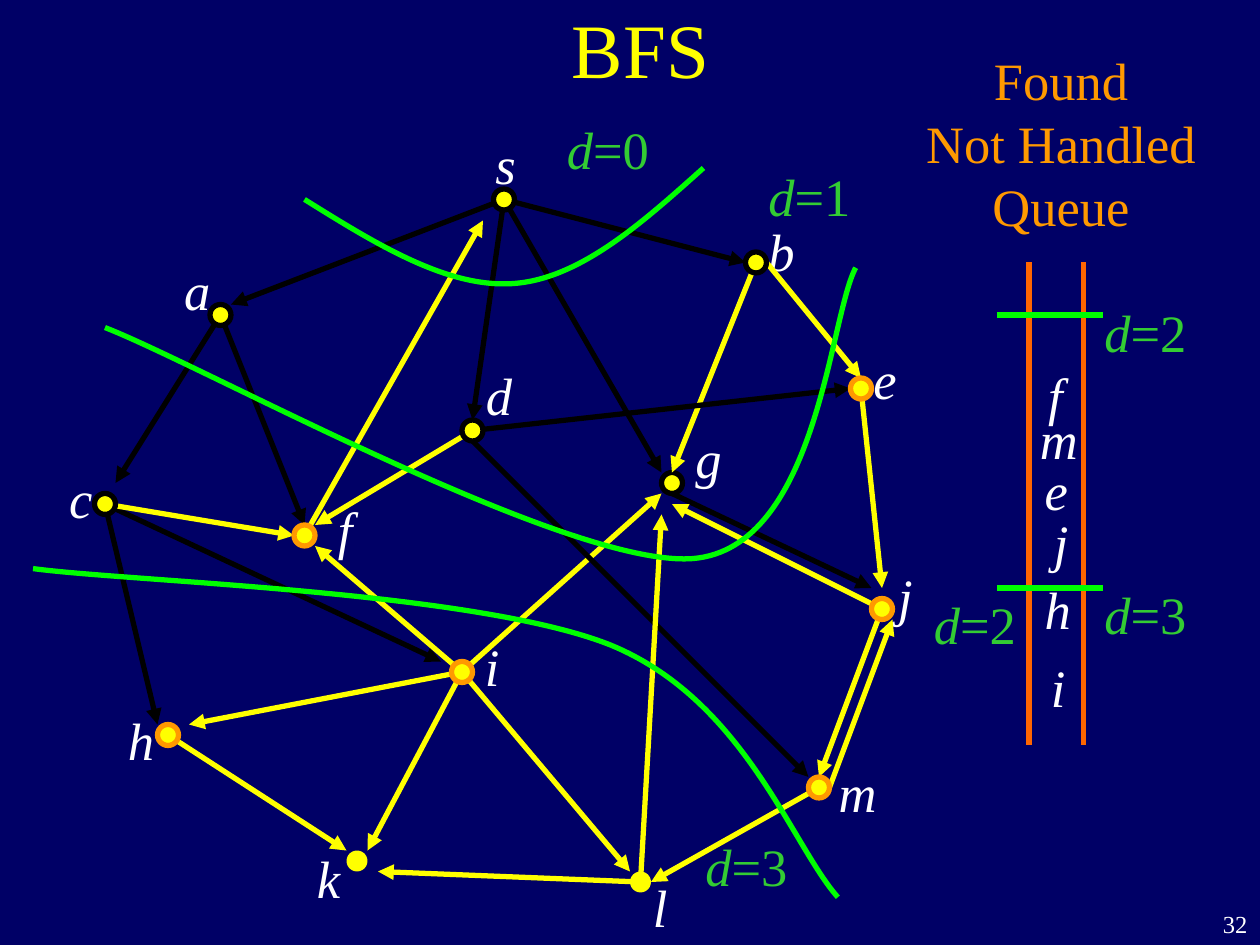
from dataclasses import dataclass

from lxml.etree import SubElement
from pptx import Presentation
from pptx.dml.color import RGBColor
from pptx.enum.shapes import MSO_CONNECTOR, MSO_SHAPE
from pptx.enum.text import MSO_ANCHOR, MSO_AUTO_SIZE, PP_ALIGN
from pptx.oxml.ns import qn
from pptx.util import Inches, Pt


@dataclass(frozen=True)
class Theme:
    background: str = "000066"
    accent: str = "FFFF00"
    text: str = "FFFFFF"
    tree: str = "000000"
    waiting: str = "FF9900"
    rail: str = "FF6600"
    frontier: str = "00FF00"
    distance: str = "33CC33"
    font: str = "Times New Roman"
    title_size: int = 44
    label_size: int = 30
    label_leading: int = 36
    number_size: int = 14
    stroke: int = 3


THEME = Theme()
COLUMNS, ROWS = 120, 90
LABEL_HEIGHT = 7.2
LETTER_WIDTHS = {letter: width for letters, width in
                 (("filj", 3.8), ("s", 4.3), ("cek", 4.7), ("abdgh", 4.9), ("m", 6))
                 for letter in letters}

NODES = {
    "s": (48, 19), "a": (21, 30), "b": (72, 25), "c": (10, 48), "d": (45, 41),
    "e": (82, 37), "f": (29, 51), "g": (64, 46), "h": (16, 70), "i": (44, 64),
    "j": (84, 58), "k": (34, 82), "l": (61, 84), "m": (78, 75),
}
BACK_NODES, HANDLED_NODES, WAITING_NODES = "klg", "sadbcg", "femjhi"

NODE_LABELS = [
    ("s", 46, 12), ("a", 16.35, 24), ("c", 5.4, 43.8), ("h", 11, 66.8),
    ("k", 29, 80), ("f", 31, 46.75), ("i", 45, 59.75), ("l", 61, 82.75),
    ("m", 78.7, 71.75), ("j", 84.35, 53.15), ("e", 82, 32.5),
    ("b", 72, 20.3), ("g", 65.05, 40), ("d", 45.1, 34),
]
QUEUE_LABELS = [("f", 98.65, 34), ("m", 97.85, 38.2), ("e", 98.3, 43),
                ("j", 99.2, 48), ("h", 98.3, 54.4), ("i", 98.9, 61.8)]
DISTANCE_LABELS = [(0, 52.8, 10.6), (1, 72, 15), (2, 87.75, 55.8),
                   (3, 66, 78.8), (2, 104, 28), (3, 104, 54.8)]

TREE_EDGES = {"sa", "sd", "sg", "sb", "de", "gj", "dm", "af", "ac", "ci", "ch"}
EDGE_END_GAPS = {
    "sa": (1, -1), "sd": (0, -1), "sg": (-1, -1), "sb": (-1, 0),
    "bg": (0, -1), "ig": (-1, 1), "de": (-1, 0), "be": (0, -1),
    "gj": (-1, -2), "ej": (0, -2), "dm": (-1, -1), "df": (1, -1),
    "af": (0, -1), "ac": (1, -2), "ci": (-2, -1), "ik": (1, -1),
    "il": (-1, -1), "ih": (2, -1), "ml": (1, 0), "mj": (1, 1),
    "jg": (0, 2), "if": (1, 1), "jm": (0, -1), "lg": (-1, 3),
    "lk": (2, 1), "fs": (-2, 2), "hk": (-1, -1), "ch": (-1, -1),
    "cf": (-1, 0),
}
EDGE_START_GAPS = {"be": (1, 0), "gj": (0, 1), "dm": (0, 1), "mj": (1, 0)}

FRONTIERS = [
    [(29, 19), (35.9, 23.3), (42.7, 27.5), (49, 27),
     (55.3, 26.5), (61.2, 21.2), (67, 16)],
    [(10, 31.2), (19.3, 34.8), (54.1, 54.1), (66, 53.2),
     (77.9, 52.2), (79, 30.1), (81.5, 25.5)],
    [(3.15, 54.15), (12.4, 55.4), (45.4, 56.3), (58.2, 61.45),
     (70.9, 66.7), (75.4, 80.5), (79.8, 85.45)],
]


def grid(*lengths):
    return [round(length * Inches(10) / COLUMNS) for length in lengths]


def shifted(point, gap):
    return point[0] + gap[0], point[1] + gap[1]


def style_font(font, size, color):
    font.name = THEME.font
    font.size = Pt(size)
    font.color.rgb = RGBColor.from_string(color)


def style_line(line, color):
    line.color.rgb = RGBColor.from_string(color)
    line.width = Pt(THEME.stroke)


def add_title(page, text):
    title = page.shapes.title
    title.left, title.top, title.width, title.height = grid(10, -3, 102, 15)
    title.text_frame.text = text
    title.text_frame.vertical_anchor = MSO_ANCHOR.MIDDLE
    para = title.text_frame.paragraphs[0]
    para.alignment = PP_ALIGN.CENTER
    style_font(para.font, THEME.title_size, THEME.accent)


def add_text(page, text, area, color, size=THEME.label_size, align=PP_ALIGN.LEFT):
    box = page.shapes.add_textbox(*grid(*area))
    box.text_frame.word_wrap = False
    box.text_frame.auto_size = MSO_AUTO_SIZE.SHAPE_TO_FIT_TEXT
    para = box.text_frame.paragraphs[0]
    para.text = text
    para.alignment = align
    if size == THEME.label_size:
        para.line_spacing = Pt(THEME.label_leading)
    style_font(para.font, size, color)
    return para


def add_letter(page, letter, column, row):
    area = (column, row, LETTER_WIDTHS[letter], LABEL_HEIGHT)
    add_text(page, letter, area, THEME.text).font.italic = True


def add_distance(page, distance, column, row):
    para = add_text(page, "d", (column, row, 10.2, LABEL_HEIGHT), THEME.distance)
    para.runs[0].font.italic = True
    para.add_run().text = f"={distance}"


def add_node(page, name):
    column, row = NODES[name]
    node = page.shapes.add_shape(MSO_SHAPE.OVAL, *grid(column - 1, row - 1, 2, 2))
    node.shadow.inherit = False
    node.fill.solid()
    node.fill.fore_color.rgb = RGBColor.from_string(THEME.accent)
    if name in HANDLED_NODES:
        style_line(node.line, THEME.tree)
    elif name in WAITING_NODES:
        style_line(node.line, THEME.waiting)
    else:
        node.line.fill.background()


def add_line(page, start, end, color, arrow=False):
    line = page.shapes.add_connector(MSO_CONNECTOR.STRAIGHT, *grid(*start, *end))
    style_line(line.line, color)
    if arrow:
        SubElement(line.line._get_or_add_ln(), qn("a:tailEnd"), type="triangle")
    SubElement(line._element.spPr, qn("a:effectLst"))


def add_edge(page, edge):
    start, end = (NODES[name] for name in edge)
    color = THEME.tree if edge in TREE_EDGES else THEME.accent
    add_line(page, shifted(start, EDGE_START_GAPS.get(edge, (0, 0))),
             shifted(end, EDGE_END_GAPS[edge]), color, arrow=True)


def add_frontier(page, controls):
    builder = page.shapes.build_freeform(*grid(*controls[0]))
    builder.add_line_segments([grid(*point) for point in controls[1:]], close=False)
    curve = builder.convert_to_shape()
    segments = list(curve._element.iter(qn("a:lnTo")))
    outline = segments[0].getparent()
    for first in range(0, len(segments), 3):
        bend = SubElement(outline, qn("a:cubicBezTo"))
        for segment in segments[first:first + 3]:
            bend.append(segment[0])
            outline.remove(segment)
    curve.shadow.inherit = False
    curve.fill.background()
    style_line(curve.line, THEME.frontier)


def main():
    deck = Presentation()
    deck.slide_width, deck.slide_height = grid(COLUMNS, ROWS)
    page = deck.slides.add_slide(deck.slide_layouts[5])
    page.background.fill.solid()
    page.background.fill.fore_color.rgb = RGBColor.from_string(THEME.background)
    add_text(page, "32", (114, 86, 6, 4), THEME.text, THEME.number_size, PP_ALIGN.RIGHT)
    add_title(page, "BFS")
    for name in BACK_NODES:
        add_node(page, name)
    for label in NODE_LABELS:
        add_letter(page, *label)
    for edge in EDGE_END_GAPS:
        add_edge(page, edge)
    for column in (98, 103.2):
        add_line(page, (column, 25), (column, 71), THEME.rail)
    add_text(page, "Found\vNot Handled\vQueue", (87, 4, 28.1, 19.2),
             THEME.waiting, align=PP_ALIGN.CENTER)
    for name in NODES:
        if name not in BACK_NODES:
            add_node(page, name)
    for label in QUEUE_LABELS:
        add_letter(page, *label)
    for controls in FRONTIERS:
        add_frontier(page, controls)
    for row in (30, 56):
        add_line(page, (95, row), (105, row), THEME.frontier)
    for label in DISTANCE_LABELS:
        add_distance(page, *label)
    deck.save("out.pptx")


if __name__ == "__main__":
    main()
